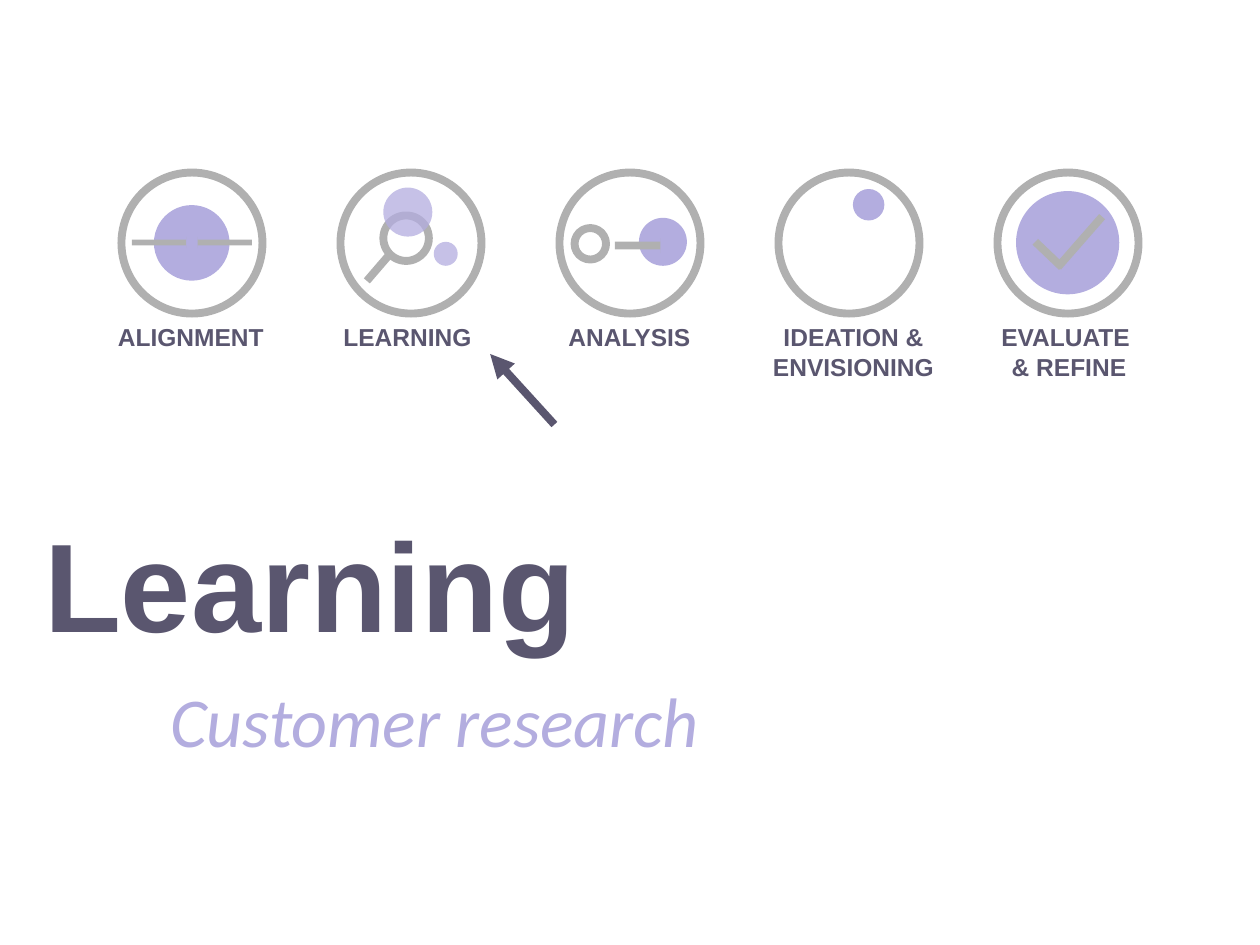
from dataclasses import dataclass

from lxml import etree
from pptx import Presentation
from pptx.dml.color import RGBColor
from pptx.enum import shapes, text
from pptx.oxml import ns
from pptx.util import Pt


@dataclass(frozen=True)
class Theme:
    ink: str = "5A566F"
    lilac: str = "B3ADDF"
    gray: str = "B0B0B0"
    head: str = "Arial"
    body: str = "Calibri"
    big: float = 72
    mid: float = 40
    small: float = 14
    stroke: float = 4.5


T = Theme()
OVAL = shapes.MSO_SHAPE.OVAL
BAR = shapes.MSO_SHAPE.RIGHT_ARROW
RING = 80.6
STEP = 125.15
LABEL = 136


def rgb(code):
    return RGBColor.from_string(code)


def tag(node, name, **attrs):
    return etree.SubElement(node, ns.qn(name), **attrs)


def apply(item, form):
    for key, value in form.items():
        setattr(item, key, value)


def write(box, words, font, color, align=text.PP_ALIGN.LEFT,
          anchor=text.MSO_ANCHOR.TOP):
    frame = box.text_frame
    apply(frame, dict(word_wrap=True, vertical_anchor=anchor,
                      auto_size=text.MSO_AUTO_SIZE.NONE))
    para = frame.paragraphs[0]
    para.text = words
    apply(para, dict(alignment=align, space_before=Pt(0), line_spacing=1.0))
    for run in para.runs:
        apply(run.font, font)
        run.font.color.rgb = rgb(color)


class Pen:
    def __init__(self, tree, x, y):
        self.tree, self.x, self.y = tree, x, y

    def shape(self, kind, x, y, w, h):
        item = self.tree.add_shape(
            kind, Pt(self.x + x), Pt(self.y + y), Pt(w), Pt(h))
        item.shadow.inherit = False
        return item

    def ring(self, x=0, y=0, size=RING):
        item = self.shape(OVAL, x, y, size, size)
        item.fill.background()
        item.line.color.rgb = rgb(T.gray)
        item.line.width = Pt(T.stroke)

    def solid(self, kind, color, x, y, w, h):
        item = self.shape(kind, x, y, w, h)
        item.fill.solid()
        item.fill.fore_color.rgb = rgb(color)
        item.line.fill.background()
        return item

    def disc(self, x, y, size, alpha=None):
        item = self.solid(OVAL, T.lilac, x, y, size, size)
        if alpha:
            fill = item.fill._xPr.find(ns.qn("a:solidFill"))
            tag(fill[0], "a:alpha", val=str(alpha * 1000))

    def bar(self, x, y, w, h, turn=0):
        item = self.solid(BAR, T.gray, x, y, w, h)
        item.adjustments[1] = 0
        item.rotation = turn

    def line(self, x1, y1, x2, y2, color=T.gray):
        ends = (self.x + x1, self.y + y1, self.x + x2, self.y + y2)
        item = self.tree.add_connector(
            shapes.MSO_CONNECTOR.STRAIGHT, *map(Pt, ends))
        item.line.color.rgb = rgb(color)
        item.line.width = Pt(T.stroke)
        tag(item._element.spPr, "a:effectLst")
        return item


def align(pen):
    pen.disc(18.6, 18.6, 43.2)
    pen.bar(6, 36.7, 31, 6.5)
    pen.bar(43.5, 36.7, 31, 6.5, 180)
    pen.ring()


def learn(pen):
    pen.ring(24.5, 24.5, 26)
    pen.ring()
    pen.disc(24.5, 8.6, 28, 75)
    pen.disc(53.3, 39.6, 13.7, 75)
    pen.line(15.1, 61.9, 28.1, 46.8)


def analyze(pen):
    pen.ring()
    pen.disc(45.4, 25.9, 27.4)
    pen.bar(31.7, 37.4, 25.9, 8.6)
    pen.ring(8.6, 31.7, 18)


def ideate(pen):
    pen.disc(42.5, 9.4, 18)
    pen.ring()


def refine(pen):
    pen.ring()
    pen.disc(10.6, 10.6, 59)
    pen.line(21.6, 39.6, 36.7, 54)
    pen.line(59.8, 25.2, 34.6, 54)


STAGES = [
    (align, "ALIGNMENT", -0.6),
    (learn, "LEARNING", -2),
    (analyze, "ANALYSIS", -0.3),
    (ideate, "IDEATION &\nENVISIONING", 2.6),
    (refine, "EVALUATE \n& REFINE", 0.6),
]


def stages(slide, x, y):
    font = dict(name=T.head, size=Pt(T.small), bold=True)
    for i, (draw, words, shift) in enumerate(STAGES):
        left = x + i * STEP
        draw(Pen(slide.shapes.add_group_shape().shapes, left, y))
        start = left + (RING - LABEL) / 2 + shift
        high = 41 if "\n" in words else 24.5
        box = slide.shapes.add_textbox(
            Pt(start), Pt(y + 82.1), Pt(LABEL), Pt(high))
        write(box, words, font, T.ink, text.PP_ALIGN.CENTER)


def pointer(slide, x, y):
    arrow = Pen(slide.shapes, x, y).line(36.7, 40.3, 0, 0, T.ink)
    tag(arrow.line._get_or_add_ln(), "a:tailEnd", type="triangle")


def heading(slide, x, y):
    title, sub = slide.placeholders
    apply(title, dict(left=Pt(x), top=Pt(y), width=Pt(495), height=Pt(78)))
    apply(sub, dict(left=Pt(x + 72), top=Pt(y + 90),
                    width=Pt(474), height=Pt(55.5)))
    write(title, "Learning", dict(name=T.head, size=Pt(T.big), bold=True),
          T.ink, anchor=text.MSO_ANCHOR.MIDDLE)
    write(sub, "Customer research",
          dict(name=T.body, size=Pt(T.mid), italic=True), T.lilac)


def main():
    deck = Presentation()
    apply(deck, dict(slide_width=Pt(720), slide_height=Pt(540)))
    slide = deck.slides.add_slide(deck.slide_layouts[0])
    heading(slide, 18, 293.8)
    pointer(slide, 280.1, 202.3)
    stages(slide, 69.4, 98.6)
    deck.save("out.pptx")


if __name__ == "__main__":
    main()
